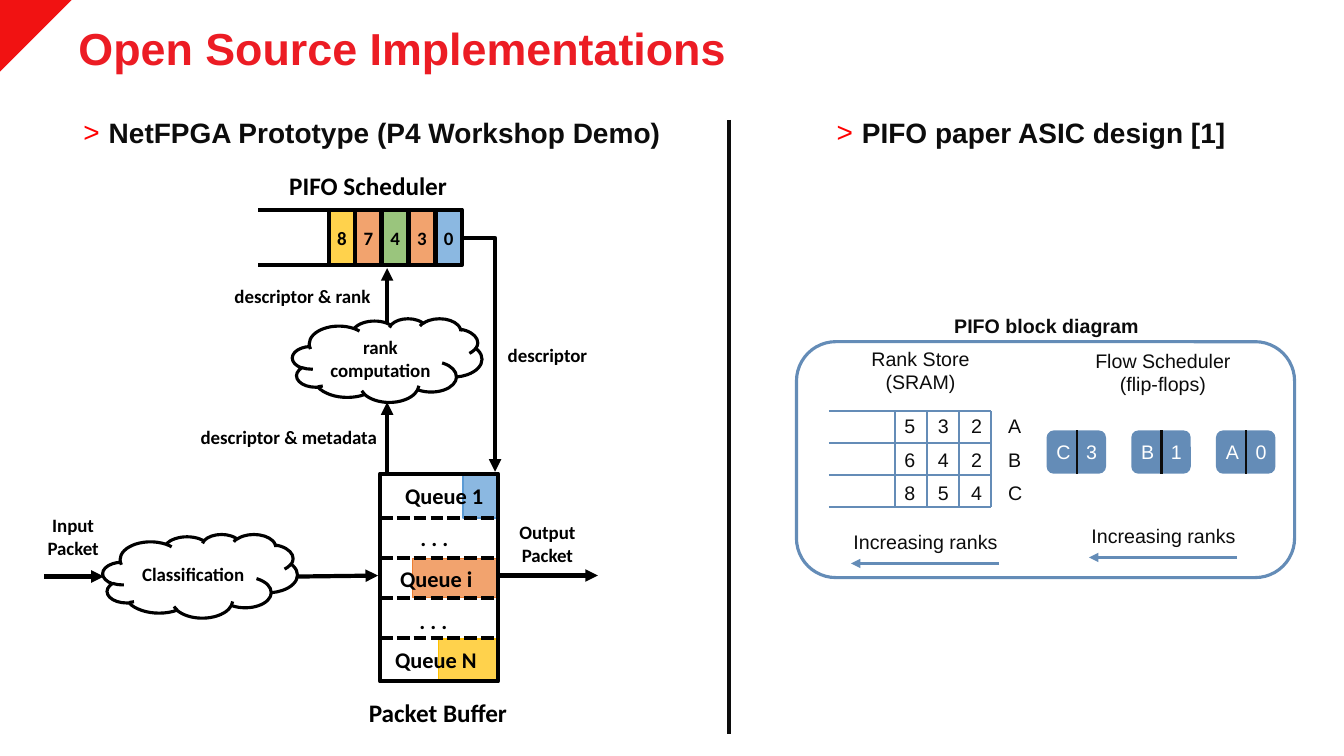
import pptx
import pptx.util
import pptx.dml.color
import pptx.enum.dml
import pptx.enum.shapes
import pptx.enum.text
import pptx.oxml
import pptx.oxml.ns

Inches = pptx.util.Inches
Shape = pptx.enum.shapes.MSO_SHAPE
Link = pptx.enum.shapes.MSO_CONNECTOR
Align = pptx.enum.text.PP_ALIGN
Anchor = pptx.enum.text.MSO_ANCHOR
color = pptx.dml.color.RGBColor.from_string
A_NS = pptx.oxml.ns.nsdecls("a")

BLACK, INK, STEEL, WHITE = "000000", "0C0C0C", "648CB7", "FFFFFF"
YELLOW, ORANGE, GREEN, BLUE = "FFC000", "ED7D31", "70AD47", "5B9BD5"
CALIBRI = {"name": "Calibri", "bold": True, "color": BLACK}
ARIAL = {"name": "Arial", "bold": False, "color": INK}

deck = pptx.Presentation()
deck.slide_width, deck.slide_height = Inches(13.33), Inches(7.5)
page = deck.slides.add_slide(deck.slide_layouts[6])


def write(text, place, size, look, align=Align.CENTER, shape=None):
    """Write text into a shape, or into a new unwrapped text box at place."""
    box = shape or page.shapes.add_textbox(*map(Inches, place))
    frame = box.text_frame
    frame.word_wrap = shape is not None
    if shape is None:
        frame.auto_size = pptx.enum.text.MSO_AUTO_SIZE.SHAPE_TO_FIT_TEXT
    else:
        frame.vertical_anchor = Anchor.MIDDLE
    for number, line in enumerate(text.split("\n")):
        para = frame.paragraphs[0] if number == 0 else frame.add_paragraph()
        para.alignment = align
        span = para.add_run()
        span.text = line
        for key, value in {**look, "size": pptx.util.Pt(size)}.items():
            if key == "color":
                span.font.color.rgb = color(value)
            else:
                setattr(span.font, key, value)
    return box


def draw(kind, place, line=None, width=3, fill=None, opacity=None, dash=None, arrow=False):
    """Add a connector (place: two points) or a preset shape (place: a frame)."""
    is_link = isinstance(kind, Link)
    if is_link:
        part = page.shapes.add_connector(kind, *map(Inches, place))
    else:
        part = page.shapes.add_shape(kind, *map(Inches, place))
        part.shadow.inherit = False
        if fill:
            part.fill.solid()
            part.fill.fore_color.rgb = color(fill)
        else:
            part.fill.background()
        if opacity:
            alpha = pptx.oxml.parse_xml(f'<a:alpha {A_NS} val="{opacity * 1000}"/>')
            part._element.spPr.find(".//" + pptx.oxml.ns.qn("a:srgbClr")).append(alpha)
    if line:
        part.line.color.rgb = color(line)
        part.line.width = pptx.util.Pt(width)
    else:
        part.line.fill.background()
    if dash:
        part.line.dash_style = dash
    if arrow:
        part.line._get_or_add_ln().append(
            pptx.oxml.parse_xml(f'<a:tailEnd {A_NS} type="triangle"/>'))
    if is_link:
        part._element.spPr.append(pptx.oxml.parse_xml(f"<a:effectLst {A_NS}/>"))
    return part


# Corner triangle
outline = page.shapes.build_freeform(Inches(0.71), 0)
outline.add_line_segments([(0, 0), (0, Inches(0.71))], close=True)
corner = outline.convert_to_shape()
corner.shadow.inherit = False
corner.fill.solid()
corner.fill.fore_color.rgb = color("F11212")
corner.line.fill.background()

# Title, column headings and divider
title = page.shapes.add_textbox(Inches(0.68), Inches(0.23), Inches(11.53), Inches(0.55))
write("Open Source Implementations", None, 32,
      {"name": "Arial", "bold": True, "color": "EC1C24"}, Align.LEFT, title)
title.text_frame.paragraphs[0].line_spacing = 0.9

for heading, left in (("NetFPGA Prototype (P4 Workshop Demo)", 0.73),
                      ("PIFO paper ASIC design [1]", 8.2)):
    box = page.shapes.add_textbox(Inches(left), Inches(1.1), Inches(6.03), Inches(0.6))
    settings = box.text_frame.paragraphs[0]._p.get_or_add_pPr()
    settings.set("marL", str(Inches(0.25)))
    settings.set("indent", str(-Inches(0.25)))
    for bullet in ('buClr {}><a:srgbClr val="FF0000"/></a:buClr>',
                   'buFont {} typeface="Arial"/>', 'buChar {} char="˃"/>'):
        settings.append(pptx.oxml.parse_xml("<a:" + bullet.format(A_NS)))
    write(heading, None, 20, {**ARIAL, "bold": True}, Align.LEFT, box)
    box.text_frame.vertical_anchor = Anchor.TOP
draw(Link.STRAIGHT, (7.23, 1.19, 7.23, 7.28), INK)

# Clouds
for text, place in (("rank computation", (2.9, 3.16, 1.88, 0.83)),
                    ("Classification", (1.02, 5.3, 1.93, 0.83))):
    cloud = draw(Shape.CLOUD, place, BLACK, 2.25)
    write(text, None, 13.5, CALIBRI, shape=cloud)

# Packet buffer
for tint, left, top, height in ((YELLOW, 4.35, 6.34, 0.43), (ORANGE, 4.09, 5.54, 0.39),
                                (BLUE, 4.59, 4.7, 0.44)):
    draw(Shape.RECTANGLE, (left, top, 4.94 - left, height), tint, 1, tint, 70)
draw(Shape.RECTANGLE, (3.77, 4.7, 1.17, 2.06), BLACK)
for row in range(4):
    y = 5.14 + 0.397 * row
    draw(Link.STRAIGHT, (3.77, y, 4.94, y), BLACK,
         dash=pptx.enum.dml.MSO_LINE.SQUARE_DOT)

# PIFO scheduler queue
cells = list(enumerate(zip("87430", (YELLOW, ORANGE, GREEN, ORANGE, BLUE))))
for column, (rank, tint) in cells:
    draw(Shape.RECTANGLE, (3.27 + 0.265 * column, 2.09, 0.24, 0.53), tint, 1, tint, 70)
for column, (rank, tint) in cells:
    left = 3.26 + 0.265 * column
    draw(Shape.RECTANGLE, (left, 2.08, 0.26, 0.55), BLACK)
    write(rank, (left - 0.02, 2.2, 0.3, 0.33), 13.5, CALIBRI)
for y in (2.08, 2.63):
    draw(Link.STRAIGHT, (3.26, y, 2.56, y), BLACK)

# Packet flow arrows
for place in ((0.44, 5.72, 1.03, 5.72), (2.95, 5.72, 3.75, 5.71), (3.84, 4.69, 3.84, 3.99),
              (3.84, 3.21, 3.84, 2.66), (4.94, 5.71, 5.93, 5.71)):
    draw(Link.STRAIGHT, place, BLACK, arrow=True)
elbow = draw(Link.ELBOW, (4.59, 2.36, 4.91, 4.68), BLACK, arrow=True)
elbow._element.spPr.find(pptx.oxml.ns.qn("a:prstGeom")).set("prst", "bentConnector2")

# Prototype labels
for text, size, place in (
        ("PIFO Scheduler", 18, (2.77, 1.64, 1.84, 0.4)),
        ("Packet Buffer", 18, (3.56, 6.87, 1.6, 0.4)),
        ("Queue 1", 16, (3.92, 4.73, 0.99, 0.37)),
        (". . .", 16, (4.07, 5.15, 0.48, 0.37)),
        ("Queue i", 16, (3.87, 5.56, 0.93, 0.37)),
        (". . .", 16, (4.06, 5.97, 0.48, 0.37)),
        ("Queue N", 16, (3.82, 6.36, 1.02, 0.37)),
        ("Input\nPacket", 13.5, (0.37, 5.05, 0.71, 0.56)),
        ("Output\nPacket", 13.5, (5.05, 5.12, 0.76, 0.56)),
        ("descriptor & metadata", 13.5, (1.88, 4.17, 1.97, 0.33)),
        ("descriptor & rank", 13.5, (2.22, 2.77, 1.56, 0.33)),
        ("descriptor", 13.5, (4.93, 3.36, 1, 0.33))):
    write(text, place, size, CALIBRI, Align.LEFT if size >= 16 else Align.CENTER)

# PIFO block frame
draw(Shape.ROUNDED_RECTANGLE, (7.9, 3.39, 4.94, 2.34), STEEL, 2.25)
write("PIFO block diagram", (9.36, 3.07, 2.04, 0.34), 14, {**ARIAL, "bold": True})
write("Rank Store\n(SRAM)", (8.54, 3.39, 1.18, 0.57), 14, ARIAL)
write("Flow Scheduler\n(flip-flops)", (10.76, 3.41, 1.55, 0.57), 14, ARIAL)

# Rank store grid
for step in range(4):
    x, y = 8.88 + 0.317 * step, 4.08 + 0.317 * step
    draw(Link.STRAIGHT, (x, 4.08, x, 5.03), STEEL, 1.5)
    draw(Link.STRAIGHT, (8.22, y, 9.83, y), STEEL, 1.5)
for row, (flow, ranks) in enumerate((("A", "532"), ("B", "642"), ("C", "854"))):
    top = 4.06 + 0.33 * row
    for column, rank in enumerate(ranks):
        write(rank, (8.87 + 0.33 * column, top, 0.31, 0.34), 14, ARIAL)
    write(flow, (9.9, top, 0.33, 0.34), 14, ARIAL)

# Flow scheduler entries
for entry, pair in enumerate(("C3", "B1", "A0")):
    left = 10.38 + 0.84 * entry
    draw(Shape.ROUNDED_RECTANGLE, (left, 4.27, 0.59, 0.43), fill=STEEL)
    draw(Link.STRAIGHT, (left + 0.3, 4.27, left + 0.3, 4.7), INK, 1.5)
    for half, symbol in enumerate(pair):
        write(symbol, (left + 0.295 * half, 4.32, 0.3, 0.34), 14, {**ARIAL, "color": WHITE})

# Increasing ranks arrows
for left, top in ((8.36, 5.21), (10.72, 5.15)):
    write("Increasing ranks", (left, top, 1.64, 0.34), 14, ARIAL)
    draw(Link.STRAIGHT, (left + 1.55, top + 0.38, left + 0.08, top + 0.38), STEEL, 2.25,
         arrow=True)

deck.save("out.pptx")
